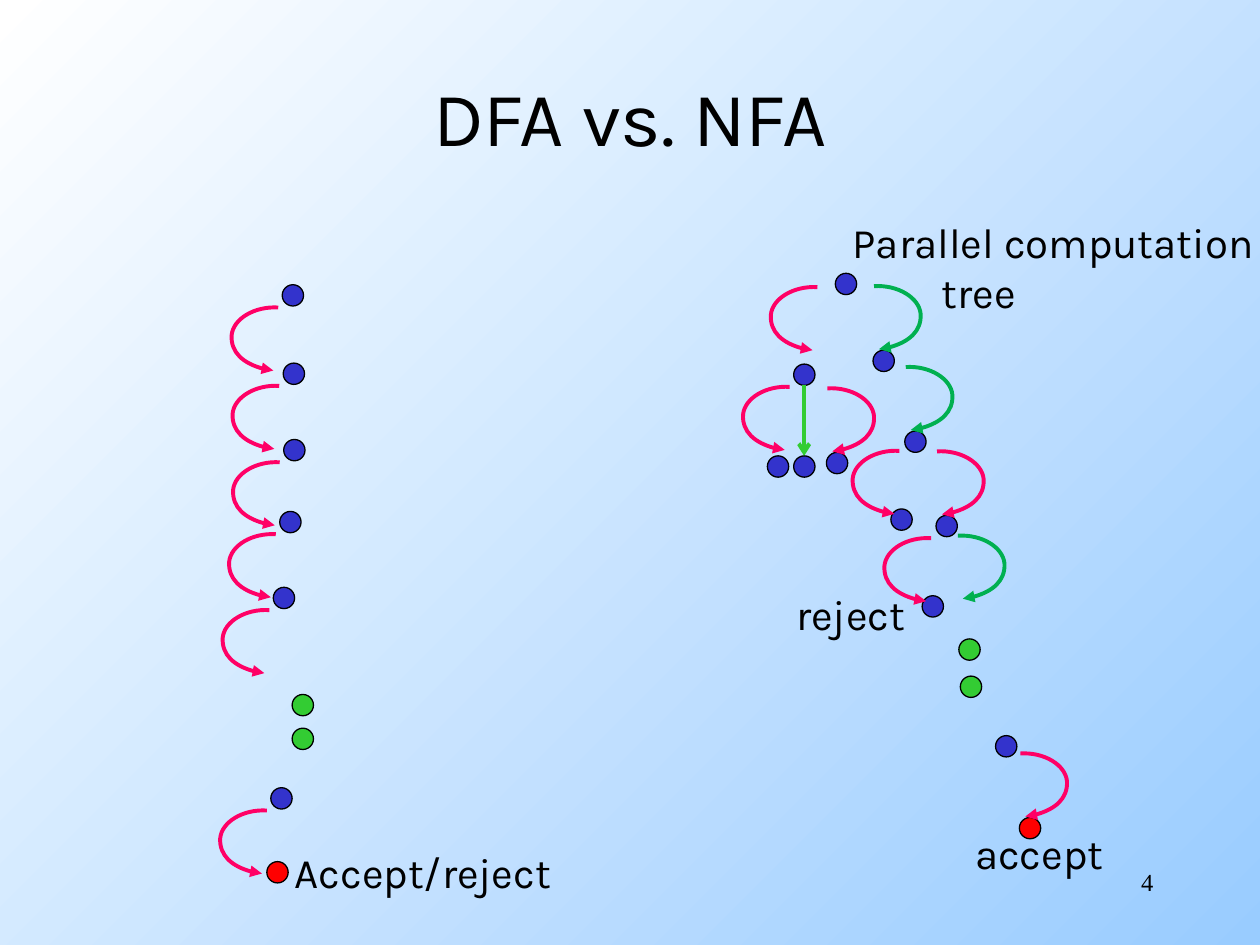
from lxml import etree
from pptx import Presentation
from pptx.dml.color import RGBColor
from pptx.enum.shapes import MSO_CONNECTOR, MSO_SHAPE
from pptx.enum.text import MSO_ANCHOR, PP_ALIGN
from pptx.oxml.ns import qn
from pptx.util import Cm, Pt

ELLIPSE = MSO_SHAPE.OVAL
STRAIGHT = MSO_CONNECTOR.STRAIGHT
LEFT, CENTER, RIGHT = PP_ALIGN.LEFT, PP_ALIGN.CENTER, PP_ALIGN.RIGHT
MIDDLE, TOP = MSO_ANCHOR.MIDDLE, MSO_ANCHOR.TOP

BLACK = RGBColor(0x00, 0x00, 0x00)
WHITE = RGBColor(0xFF, 0xFF, 0xFF)
SKY = RGBColor(0x99, 0xCC, 0xFF)
BLUE = RGBColor(0x33, 0x33, 0xCC)
RED = RGBColor(0xFF, 0x00, 0x00)
LIME = RGBColor(0x33, 0xCC, 0x33)
GREEN = RGBColor(0x00, 0xB0, 0x50)
PINK = RGBColor(0xFF, 0x00, 0x66)

NODE_SIZE = 0.43
# Bezier points of a left-hand arc, in cm from its arrow tip
ARC_POINTS = [(-0.5, -0.05), (-0.86, -0.36), (-0.84, -0.71),
              (-0.81, -1.04), (-0.38, -1.3), (0.1, -1.27)]
# All positions below are in cm
STEPS_DOWN = [(5.69, 5.74), (5.71, 7.32), (5.72, 8.86), (5.64, 10.31),
              (5.51, 11.84), (5.46, 15.88), (16, 7.34)]
STEPS_INTO = [(17.6, 7.06, BLUE, GREEN), (16.66, 9.12, BLUE, PINK),
              (20.55, 16.48, RED, PINK), (18.87, 10.39, BLUE, PINK),
              (18.24, 8.69, BLUE, GREEN)]
SINGLE_NODES = {
    BLUE: [(16.84, 5.51), (15.47, 9.19), (16, 9.19), (17.96, 10.26),
           (18.59, 12.01), (20.07, 14.83)],
    LIME: [(5.89, 14), (5.89, 14.68), (19.33, 12.88), (19.36, 13.63)],
    RED: [(5.38, 17.37)],
}
SINGLE_ARCS = [(16.38, 7.06, PINK, 1), (18.03, 10.36, PINK, 1),
               (18.67, 12.12, PINK, 1), (19.41, 12.07, GREEN, -1)]
LABELS = [("Accept/reject", 5.69, 16.94, 5.72), ("reject", 15.8, 11.73, 2.74),
          ("accept", 19.41, 16.56, 3.1)]


class Diagram:
    font = "Karla"
    line_width = Pt(2.25)

    def __init__(self, slide):
        self.slide = slide
        self.shapes = slide.shapes

    def background(self, first, last):
        fill = self.slide.background.fill
        fill.gradient()
        fill.gradient_angle = 315
        for stop, color in zip(fill.gradient_stops, (first, last)):
            stop.color.rgb = color

    def text(self, lines, left, top, width, height, size=24, font=None,
             align=LEFT, anchor=TOP, wrap=False):
        box = self.shapes.add_textbox(Cm(left), Cm(top), Cm(width), Cm(height))
        frame = box.text_frame
        frame.word_wrap = wrap
        frame.vertical_anchor = anchor
        frame.text = "\n".join(lines)
        for paragraph in frame.paragraphs:
            paragraph.alignment = align
            paragraph.font.size = Pt(size)
            paragraph.font.name = font or self.font
            paragraph.font.color.rgb = BLACK
        return frame

    def node(self, left, top, color):
        shape = self.shapes.add_shape(ELLIPSE, Cm(left), Cm(top),
                                      Cm(NODE_SIZE), Cm(NODE_SIZE))
        shape.shadow.inherit = False
        shape.fill.solid()
        shape.fill.fore_color.rgb = color
        shape.line.color.rgb = BLACK
        shape.line.width = Pt(0.75)

    def style_arrow(self, shape, color, end, kind):
        shape.line.color.rgb = color
        shape.line.width = self.line_width
        line = shape._element.spPr.find(qn("a:ln"))
        etree.SubElement(line, qn(end), type=kind)

    def arc(self, x, y, color, side):
        """Curve with its arrow tip at x, y; side 1 bulges left, -1 right."""
        builder = self.shapes.build_freeform(Cm(x), Cm(y))
        builder.add_line_segments(
            [(Cm(x + side * dx), Cm(y + dy)) for dx, dy in ARC_POINTS],
            close=False)
        shape = builder.convert_to_shape()
        segments = shape._element.xpath(".//a:lnTo")
        outline = segments[0].getparent()
        for start in range(0, len(segments), 3):
            curve = etree.SubElement(outline, qn("a:cubicBezTo"))
            for segment in segments[start:start + 3]:
                curve.append(segment[0])
                outline.remove(segment)
        shape.shadow.inherit = False
        shape.fill.background()
        self.style_arrow(shape, color, "a:headEnd", "triangle")

    def down_arrow(self, x, top, bottom, color):
        connector = self.shapes.add_connector(STRAIGHT, Cm(x), Cm(top),
                                              Cm(x), Cm(bottom))
        self.style_arrow(connector, color, "a:tailEnd", "arrow")
        etree.SubElement(connector._element.spPr, qn("a:effectLst"))


def main():
    presentation = Presentation()
    presentation.slide_width = Cm(25.4)
    presentation.slide_height = Cm(19.05)
    slide = presentation.slides.add_slide(presentation.slide_layouts[6])
    diagram = Diagram(slide)
    diagram.background(WHITE, SKY)
    diagram.text(["DFA vs. NFA"], 1.9, 1.7, 21.6, 1.27, size=44,
                 align=CENTER, anchor=MIDDLE, wrap=True)
    diagram.text(["4"], 18.2, 17.35, 5.3, 1.27, size=14,
                 font="Times New Roman", align=RIGHT, wrap=True)

    for color, positions in SINGLE_NODES.items():
        for left, top in positions:
            diagram.node(left, top, color)
    for left, top in STEPS_DOWN:
        diagram.node(left, top, BLUE)
        diagram.arc(left - 0.18, top + 1.73, PINK, 1)
    for left, top, node_color, arc_color in STEPS_INTO:
        diagram.node(left, top, node_color)
        diagram.arc(left + 0.12, top - 0.02, arc_color, -1)
    for single_arc in SINGLE_ARCS:
        diagram.arc(*single_arc)
    diagram.down_arrow(16.21, 7.77, 9.19, LIME)

    for label, left, top, width in LABELS:
        diagram.text([label], left, top, width, 1.27)
    tree = diagram.text(["Parallel computation", "tree"],
                        16.94, 4.24, 8.76, 2.29)
    tree.paragraphs[1]._p.get_or_add_pPr().set("marL", str(Cm(1.8)))
    presentation.save("out.pptx")


if __name__ == "__main__":
    main()
